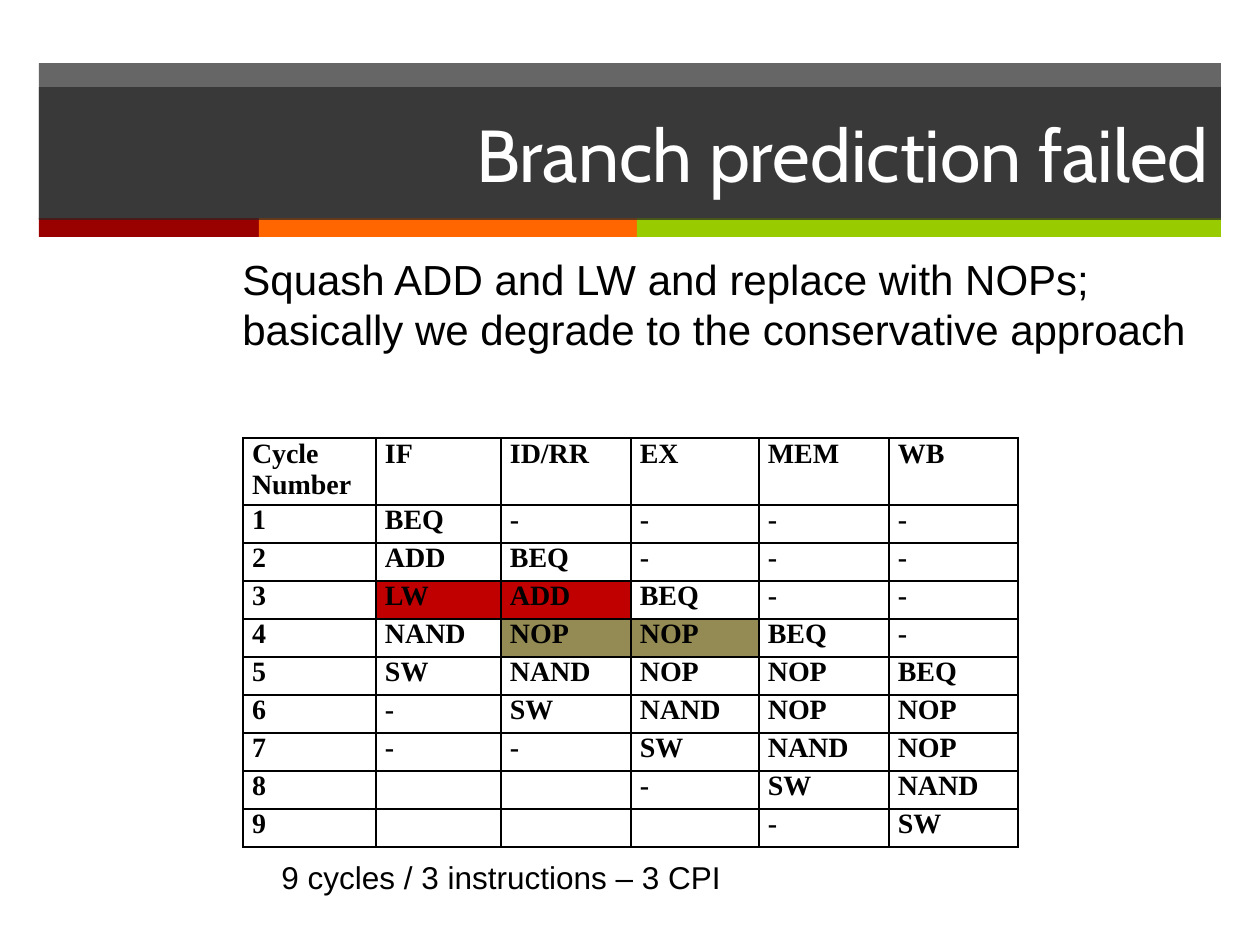
from lxml.etree import SubElement
from pptx import Presentation
from pptx.dml.color import RGBColor
from pptx.enum.shapes import MSO_SHAPE as SHAPE
from pptx.enum.text import MSO_ANCHOR as ANCHOR, PP_ALIGN as ALIGN
from pptx.oxml.ns import qn
from pptx.util import Emu, Pt

COLORS = {
    "black": "000000", "white": "FFFFFF", "band": "262626",
    "red": "990000", "orange": "FF6600", "green": "99CC00",
    "squashed": "C00000", "nop": "948A54",
}
STRIPES = [("red", 220), ("orange", 378), ("green", 584)]
COL_WIDTHS = [133, 125, 130, 128, 130, 129]
HEADER_HEIGHT, ROW_HEIGHT = 67, 38
PIPELINE = [
    ["Cycle Number", "IF", "ID/RR", "EX", "MEM", "WB"],
    ["1", "BEQ", "-", "-", "-", "-"],
    ["2", "ADD", "BEQ", "-", "-", "-"],
    ["3", "LW", "ADD", "BEQ", "-", "-"],
    ["4", "NAND", "NOP", "NOP", "BEQ", "-"],
    ["5", "SW", "NAND", "NOP", "NOP", "BEQ"],
    ["6", "-", "SW", "NAND", "NOP", "NOP"],
    ["7", "-", "-", "SW", "NAND", "NOP"],
    ["8", "", "", "-", "SW", "NAND"],
    ["9", "", "", "", "-", "SW"],
]
CELL_FILLS = {(3, 1): "squashed", (3, 2): "squashed", (4, 2): "nop", (4, 3): "nop"}


def px(n):
    """Turn pixels at 126 to the inch into EMU."""
    return Emu(round(n * 914400 / 126))


def rgb(name):
    """Look up a named colour."""
    return RGBColor.from_string(COLORS[name])


def style_run(r, size, font, color="black", bold=False):
    """Set the font of a run."""
    r.font.size, r.font.name, r.font.bold = Pt(size), font, bold
    r.font.color.rgb = rgb(color)


def add_bar(slide, x, y, w, h, color, alpha=100):
    """Add a borderless rectangle, see-through below 100 percent alpha."""
    sp = slide.shapes.add_shape(SHAPE.RECTANGLE, px(x), px(y), px(w), px(h))
    sp.shadow.inherit = False
    sp.fill.solid()
    sp.fill.fore_color.rgb = rgb(color)
    sp.line.fill.background()
    if alpha < 100:
        clr = sp._element.spPr.find(qn("a:solidFill"))[0]
        SubElement(clr, qn("a:alpha"), val=str(alpha * 1000))
    return sp


def add_title(slide, text):
    """Add the title on its translucent bar."""
    sp = add_bar(slide, 39, 87, 1182, 133, "band", 70)
    tf = sp.text_frame
    tf.text = text
    tf.word_wrap = True
    tf.vertical_anchor = ANCHOR.MIDDLE
    p = tf.paragraphs[0]
    p.alignment = ALIGN.RIGHT
    style_run(p.runs[0], 42, "Cabin", "white")


def add_text(slide, x, y, w, h, text, size):
    """Add a wrapping text box."""
    tf = slide.shapes.add_textbox(px(x), px(y), px(w), px(h)).text_frame
    tf.word_wrap = True
    tf.text = text
    style_run(tf.paragraphs[0].runs[0], size, "Arial")


def add_borders(cell):
    """Draw thin black lines on all four sides of a cell."""
    tc_pr = cell._tc.get_or_add_tcPr()
    for i, side in enumerate(("lnL", "lnR", "lnT", "lnB")):
        ln = tc_pr.makeelement(qn(f"a:{side}"), {"w": str(Pt(1))})
        fill = SubElement(ln, qn("a:solidFill"))
        SubElement(fill, qn("a:srgbClr"), val=COLORS["black"])
        tc_pr.insert(i, ln)


def fill_cell(cell, text, color):
    """Write, colour and outline one table cell."""
    cell.margin_left = cell.margin_right = px(9)
    cell.margin_top = cell.margin_bottom = 0
    r = cell.text_frame.paragraphs[0].add_run()
    r.text = text
    style_run(r, 16, "Times New Roman", bold=True)
    if color:
        cell.fill.solid()
        cell.fill.fore_color.rgb = rgb(color)
    else:
        cell.fill.background()
    add_borders(cell)


def add_pipeline_table(slide, x, y):
    """Add the table of pipeline stages by cycle."""
    heights = [HEADER_HEIGHT] + [ROW_HEIGHT] * (len(PIPELINE) - 1)
    table = slide.shapes.add_table(
        len(heights), len(COL_WIDTHS), px(x), px(y),
        px(sum(COL_WIDTHS)), px(sum(heights))).table
    table.first_row = table.horz_banding = False
    for col, w in zip(table.columns, COL_WIDTHS):
        col.width = px(w)
    for i, (row, h) in enumerate(zip(table.rows, heights)):
        row.height = px(h)
        for j, text in enumerate(PIPELINE[i]):
            fill_cell(table.cell(i, j), text, CELL_FILLS.get((i, j)))


def main():
    """Build the slide and save it."""
    prs = Presentation()
    prs.slide_width, prs.slide_height = px(1260), px(945)
    slide = prs.slides.add_slide(prs.slide_layouts[6])
    add_bar(slide, 39, 63, 1182, 156, "band", 70)
    x = 39
    for color, w in STRIPES:
        add_bar(slide, x, 218, w, 19, color)
        x += w
    add_pipeline_table(slide, 243, 438)
    add_text(slide, 230, 247, 975, 115,
             "Squash ADD and LW and replace with NOPs; "
             "basically we degrade to the conservative approach", 24)
    add_title(slide, "Branch prediction failed")
    add_text(slide, 269, 852, 764, 50, "9 cycles / 3 instructions – 3 CPI", 18)
    prs.save("out.pptx")


if __name__ == "__main__":
    main()
